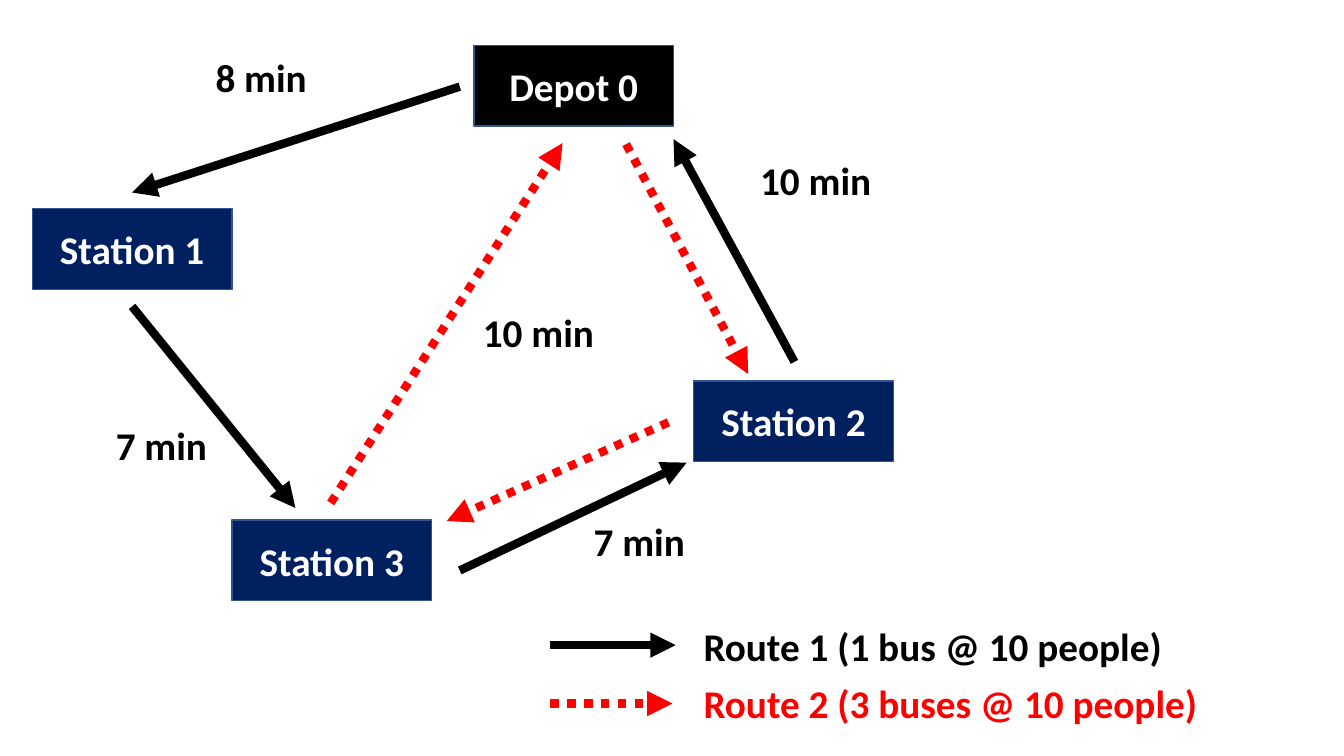
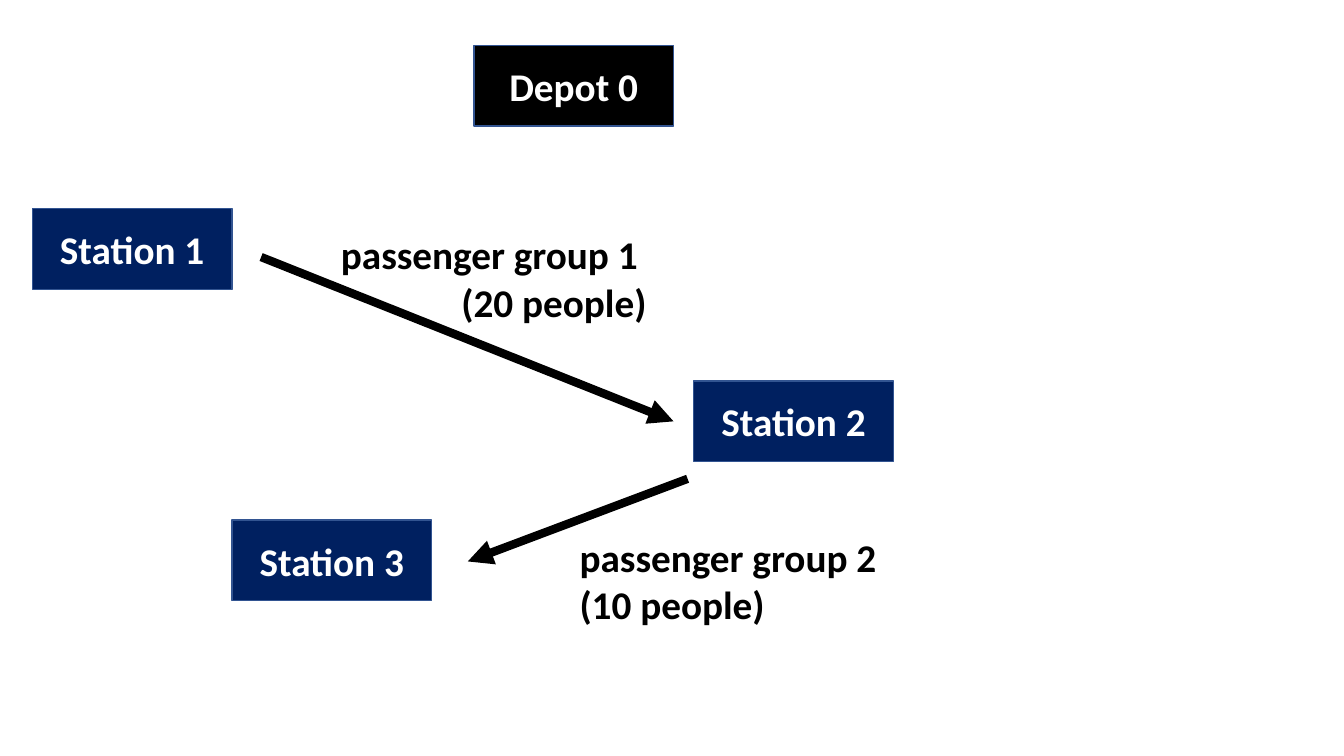
from dataclasses import dataclass

import lxml.etree
import pptx
import pptx.dml.color
import pptx.enum.dml
import pptx.enum.shapes
import pptx.enum.text
import pptx.oxml.ns
import pptx.util

Inches = pptx.util.Inches
Align = pptx.enum.text.PP_ALIGN


@dataclass(frozen=True)
class Theme:
    black: str = "000000"
    white: str = "FFFFFF"
    navy: str = "002060"
    border: str = "325491"
    red: str = "FF0000"
    font: str = "Calibri"
    text_size: int = 28
    border_width: int = 1
    arrow_width: int = 6


THEME = Theme()
STOP_SIZE = (1.98, 0.8)
STOPS = [
    ("Station 1", 0.32, 2.07, THEME.navy),
    ("Station 2", 6.88, 3.78, THEME.navy),
    ("Station 3", 2.3, 5.16, THEME.navy),
    ("Depot 0", 4.7, 0.45, THEME.black),
]

ROUTE_1 = {"color": THEME.black, "dotted": False}
ROUTE_2 = {"color": THEME.red, "dotted": True}

SLIDES = [
    {
        "arrows": [
            (ROUTE_1, (4.56, 0.86), (1.31, 1.91)),
            (ROUTE_1, (1.31, 3.04), (2.93, 5.04)),
            (ROUTE_1, (4.56, 5.66), (6.81, 4.59)),
            (ROUTE_1, (7.88, 3.59), (6.68, 1.38)),
            (ROUTE_2, (6.21, 1.43), (7.42, 3.71)),
            (ROUTE_2, (6.63, 4.19), (4.43, 5.17)),
            (ROUTE_2, (3.28, 4.99), (5.58, 1.42)),
            (ROUTE_1, (5.46, 6.4), (6.7, 6.4)),
            (ROUTE_2, (5.46, 6.98), (6.67, 6.98)),
        ],
        "labels": [
            (["8 min"], (2.03, 0.48, 1.12, 0.57), Align.CENTER, THEME.black),
            (["7 min"], (1.04, 4.13, 1.12, 0.57), Align.CENTER, THEME.black),
            (["7 min"], (5.78, 5.08, 1.12, 0.57), Align.CENTER, THEME.black),
            (["10 min"], (7.43, 1.5, 1.32, 0.57), Align.CENTER, THEME.black),
            (["10 min"], (4.68, 3.01, 1.32, 0.57), Align.CENTER, THEME.black),
            (["Route 1 (1 bus @ 10 people)"], (6.88, 6.12, 4.8, 0.57), Align.LEFT, THEME.black),
            (["Route 2 (3 buses @ 10 people)"], (6.88, 6.69, 5.15, 0.57), Align.LEFT, THEME.red),
        ],
    },
    {
        "arrows": [
            (ROUTE_1, (2.59, 2.55), (6.68, 4.18)),
            (ROUTE_1, (6.82, 4.75), (4.64, 5.57)),
        ],
        "labels": [
            (["passenger group 1 ", "(20 people)"], (3.24, 2.24, 3.27, 1.04), Align.RIGHT, THEME.black),
            (["passenger group 2", "(10 people)"], (5.65, 5.24, 3.27, 1.04), Align.LEFT, THEME.black),
        ],
    },
]


def rgb(value):
    return pptx.dml.color.RGBColor.from_string(value)


def write(text_frame, lines, alignment, color):
    for index, line in enumerate(lines):
        paragraph = text_frame.add_paragraph() if index else text_frame.paragraphs[0]
        paragraph.alignment = alignment
        run = paragraph.add_run()
        run.text = line
        run.font.name = THEME.font
        run.font.size = pptx.util.Pt(THEME.text_size)
        run.font.bold = True
        run.font.color.rgb = rgb(color)


def add_stop(slide, name, left, top, fill):
    box = [Inches(value) for value in (left, top, *STOP_SIZE)]
    shape = slide.shapes.add_shape(pptx.enum.shapes.MSO_SHAPE.RECTANGLE, *box)
    shape.shadow.inherit = False
    shape.fill.solid()
    shape.fill.fore_color.rgb = rgb(fill)
    shape.line.color.rgb = rgb(THEME.border)
    shape.line.width = pptx.util.Pt(THEME.border_width)
    shape.text_frame.vertical_anchor = pptx.enum.text.MSO_ANCHOR.MIDDLE
    write(shape.text_frame, [name], Align.CENTER, THEME.white)


def add_arrow(slide, route, start, end):
    points = [Inches(value) for value in (*start, *end)]
    connector = slide.shapes.add_connector(pptx.enum.shapes.MSO_CONNECTOR.STRAIGHT, *points)
    connector.line.color.rgb = rgb(route["color"])
    connector.line.width = pptx.util.Pt(THEME.arrow_width)
    if route["dotted"]:
        connector.line.dash_style = pptx.enum.dml.MSO_LINE.ROUND_DOT
    qn = pptx.oxml.ns.qn
    properties = connector._element.spPr
    lxml.etree.SubElement(properties.find(qn("a:ln")), qn("a:tailEnd"), type="triangle")
    lxml.etree.SubElement(properties, qn("a:effectLst"))


def add_label(slide, lines, box, alignment, color):
    text_frame = slide.shapes.add_textbox(*[Inches(value) for value in box]).text_frame
    text_frame.word_wrap = False
    text_frame.auto_size = pptx.enum.text.MSO_AUTO_SIZE.SHAPE_TO_FIT_TEXT
    write(text_frame, lines, alignment, color)


def main():
    presentation = pptx.Presentation()
    presentation.slide_width = Inches(13.33)
    presentation.slide_height = Inches(7.5)
    for content in SLIDES:
        slide = presentation.slides.add_slide(presentation.slide_layouts[6])
        for stop in STOPS:
            add_stop(slide, *stop)
        for arrow in content["arrows"]:
            add_arrow(slide, *arrow)
        for label in content["labels"]:
            add_label(slide, *label)
    presentation.save("out.pptx")


if __name__ == "__main__":
    main()
